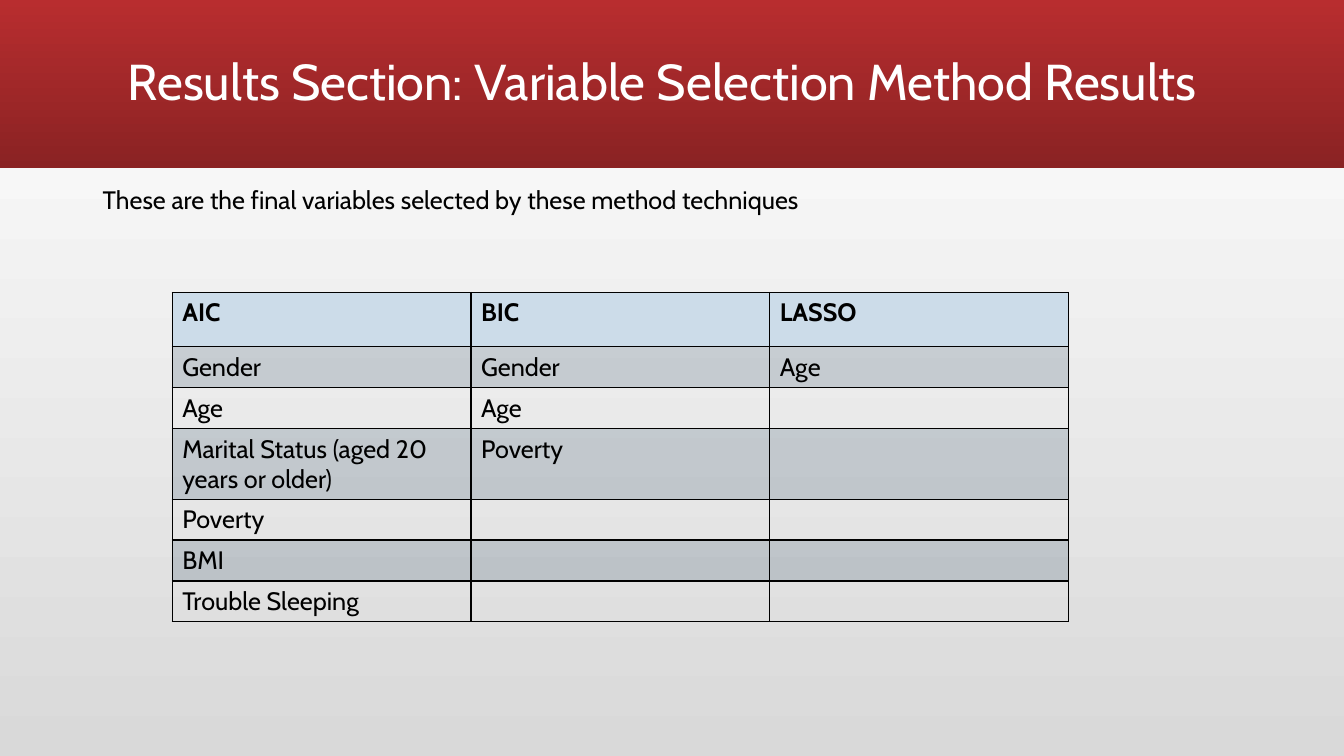
from lxml.etree import SubElement
from pptx import Presentation
from pptx.dml.color import RGBColor
from pptx.enum.shapes import MSO_SHAPE as Preset
from pptx.enum.text import MSO_ANCHOR as Anchor, MSO_AUTO_SIZE as AutoSize, PP_ALIGN as Align
from pptx.oxml.ns import qn
from pptx.util import Cm, Pt

WIDTH, HEIGHT = 33.87, 19.05
TITLE = "Results Section: Variable Selection Method Results"
INTRO = "These are the final variables selected by these method techniques"
SELECTED = {
    "AIC": ["Gender", "Age", "Marital Status (aged 20 years or older)",
            "Poverty", "BMI", "Trouble Sleeping"],
    "BIC": ["Gender", "Age", "Poverty"],
    "LASSO": ["Age"],
}


def color(hex_code):
    return RGBColor.from_string(hex_code)


class Deck:
    font = "Cabin"
    ink, paper = "000000", "FFFFFF"
    header_fill, band_fill, band_alpha = "CCDCE9", "2B4A63", 20

    def __init__(self):
        self.prs = Presentation()
        self.prs.slide_width, self.prs.slide_height = Cm(WIDTH), Cm(HEIGHT)
        self.slide = self.prs.slides.add_slide(self.prs.slide_layouts[5])

    def gradient(self, fill, colors, angle):
        fill.gradient()
        fill.gradient_angle = angle
        for stop, hex_code in zip(fill.gradient_stops, colors):
            stop.color.rgb = color(hex_code)

    def styled_run(self, paragraph, text, size=18, hex_code=ink, bold=False):
        run = paragraph.add_run()
        run.text = text
        run.font.name, run.font.size, run.font.bold = self.font, Pt(size), bold
        run.font.color.rgb = color(hex_code)

    def banner(self, height):
        band = self.slide.shapes.add_shape(Preset.RECTANGLE, 0, 0, Cm(WIDTH), Cm(height))
        band.shadow.inherit = False
        band.line.fill.background()
        self.gradient(band.fill, ("B82D2F", "8A2223"), 270)
        self.slide.shapes.title.element.addprevious(band.element)

    def title(self, text, left, top, width, height):
        heading = self.slide.shapes.title
        heading.left, heading.top = Cm(left), Cm(top)
        heading.width, heading.height = Cm(width), Cm(height)
        frame = heading.text_frame
        frame.vertical_anchor, frame.auto_size = Anchor.MIDDLE, AutoSize.NONE
        paragraph = frame.paragraphs[0]
        paragraph.alignment, paragraph.line_spacing = Align.LEFT, 0.9
        self.styled_run(paragraph, text, 36, self.paper)

    def text(self, text, left, top, width, height):
        box = self.slide.shapes.add_textbox(Cm(left), Cm(top), Cm(width), Cm(height))
        box.text_frame.word_wrap = False
        box.text_frame.auto_size = AutoSize.SHAPE_TO_FIT_TEXT
        self.styled_run(box.text_frame.paragraphs[0], text)

    def cell_borders(self, cell):
        properties = cell._tc.get_or_add_tcPr()
        for position, side in enumerate(("lnL", "lnR", "lnT", "lnB")):
            line = SubElement(properties, qn(f"a:{side}"), w=str(Pt(1)))
            solid = SubElement(line, qn("a:solidFill"))
            SubElement(solid, qn("a:srgbClr"), val=self.ink)
            properties.insert(position, line)

    def cell_fill(self, cell, row):
        if row and row % 2 == 0:
            cell.fill.background()
            return
        cell.fill.solid()
        cell.fill.fore_color.rgb = color(self.band_fill if row else self.header_fill)
        if row:
            properties = cell._tc.get_or_add_tcPr()
            tint = properties.find(f"{qn('a:solidFill')}/{qn('a:srgbClr')}")
            SubElement(tint, qn("a:alpha"), val=str(self.band_alpha * 1000))

    def table(self, columns, left, top, column_width, header_height, row_height):
        row_count = 1 + max(len(names) for names in columns.values())
        table = self.slide.shapes.add_table(
            row_count, len(columns), Cm(left), Cm(top), Cm(column_width * len(columns)),
            Cm(header_height + row_height * (row_count - 1))).table
        table.first_row = table.horz_banding = False
        for row_index, row in enumerate(table.rows):
            row.height = Cm(row_height if row_index else header_height)
        for column_index, (method, names) in enumerate(columns.items()):
            table.columns[column_index].width = Cm(column_width)
            entries = [method, *names]
            for row_index in range(row_count):
                cell = table.cell(row_index, column_index)
                self.cell_fill(cell, row_index)
                self.cell_borders(cell)
                if row_index < len(entries):
                    self.styled_run(cell.text_frame.paragraphs[0], entries[row_index],
                                    bold=row_index == 0)


def main():
    deck = Deck()

    # Background and title banner
    deck.gradient(deck.slide.background.fill, ("D9D9D9", "FFFFFF"), 90)
    deck.banner(4.24)
    deck.title(TITLE, 2.97, 0.28, 27.94, 3.68)

    # Introduction and selected variables per method
    deck.text(INTRO, 2.34, 4.52, 18.62, 1.02)
    deck.table(SELECTED, 4.34, 7.37, 7.53, 1.37, 1.03)

    deck.prs.save("out.pptx")


if __name__ == "__main__":
    main()
